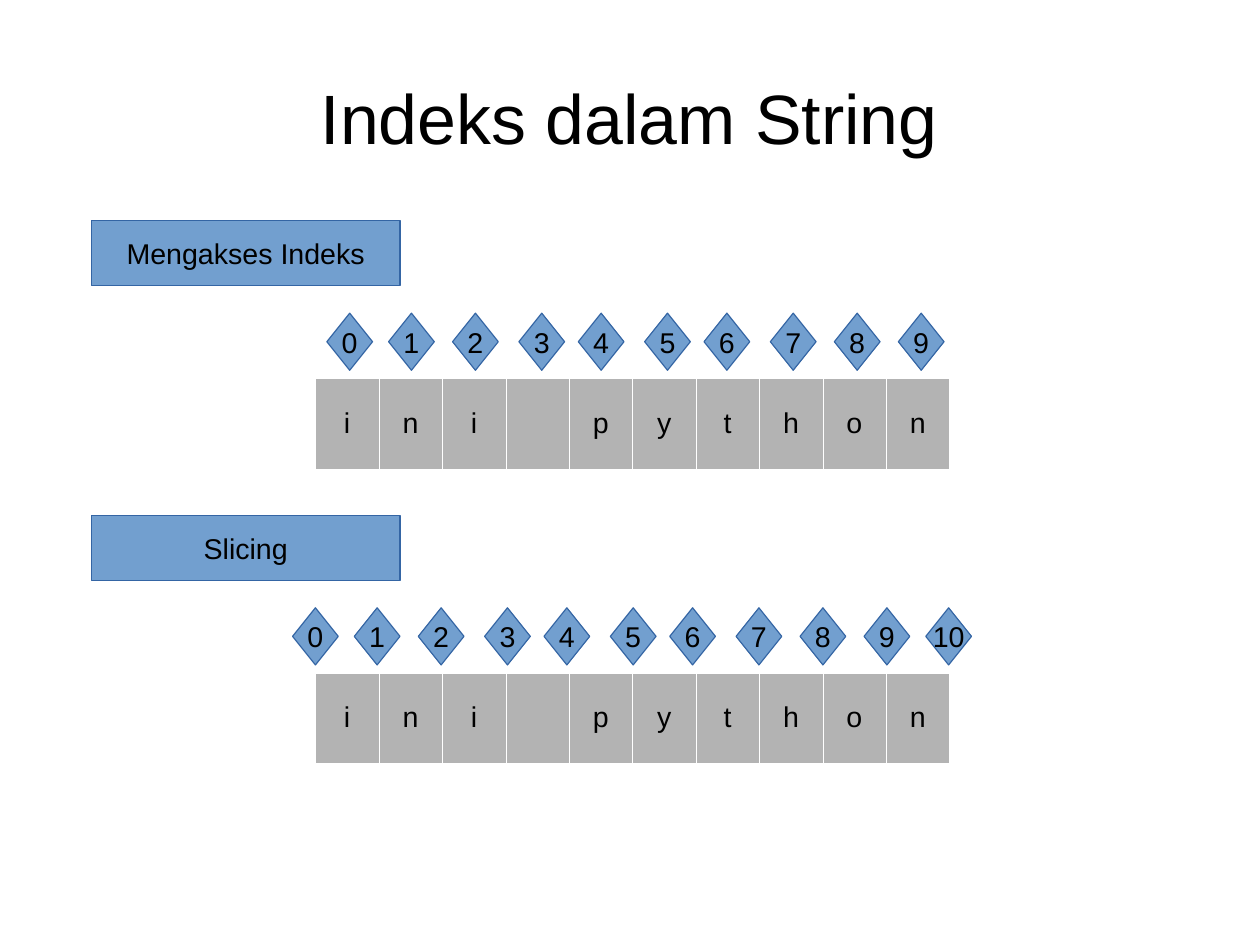
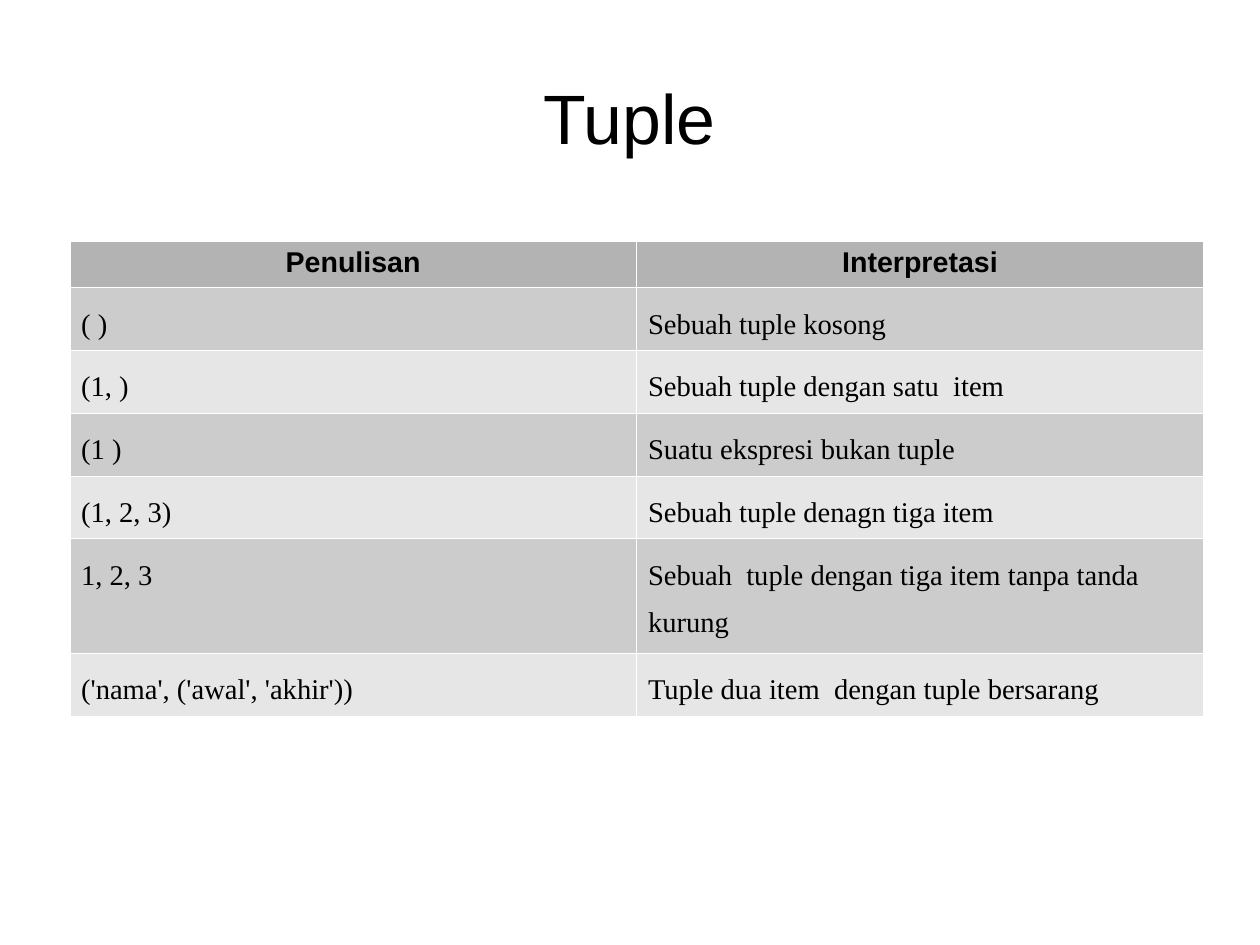
from lxml import etree
from pptx import Presentation
from pptx.dml.color import RGBColor
from pptx.enum import shapes, text
from pptx.oxml import ns
from pptx.util import Pt

BLACK, WHITE = "000000", "FFFFFF"
BLUE, DARK_BLUE = "729FCF", "3465A4"
GREY, MID_GREY, LIGHT_GREY = "B3B3B3", "CCCCCC", "E6E6E6"
SANS, SERIF = "Arial", "Times New Roman"

WORD = "ini python"
# heading, number of indices, left edge of the first index
SECTIONS = [("Mengakses Indeks", 10, 205.9), ("Slicing", 11, 184.3)]
INDEX_OFFSETS = [0, 38.9, 79.2, 121, 158.4, 200.2, 237.6, 279.4, 319.7, 360, 398.9]
SECTION_TOP, SECTION_STEP = 139, 185.6

TUPLE_HEADER = ("Penulisan", "Interpretasi")
TUPLE_ROWS = [
    ("( )", "Sebuah tuple kosong"),
    ("(1, )", "Sebuah tuple dengan satu  item"),
    ("(1 )", "Suatu ekspresi bukan tuple"),
    ("(1, 2, 3)", "Sebuah tuple denagn tiga item"),
    ("1, 2, 3", "Sebuah  tuple dengan tiga item tanpa tanda kurung"),
    ("('nama', ('awal', 'akhir'))", "Tuple dua item  dengan tuple bersarang"),
]
TUPLE_HEIGHTS = [28.8, 39.6, 39.6, 39.6, 39.6, 72, 39.6]


def color(value):
    return RGBColor.from_string(value)


def write(frame, words, size=18, font=SANS, bold=False, center=True, spacing=None):
    para = frame.paragraphs[0]
    para.alignment = text.PP_ALIGN.CENTER if center else text.PP_ALIGN.LEFT
    para.line_spacing = spacing
    span = para.add_run()
    span.text = words
    span.font.size, span.font.name, span.font.bold = Pt(size), font, bold
    span.font.color.rgb = color(BLACK)


def add_page(deck, title):
    page = deck.slides.add_slide(deck.slide_layouts[5])
    box = page.shapes.title
    box.left, box.top, box.width, box.height = Pt(39.6), Pt(23.8), Pt(714.2), Pt(99.4)
    frame = box.text_frame
    frame.margin_left = frame.margin_right = frame.margin_top = frame.margin_bottom = 0
    frame.vertical_anchor = text.MSO_ANCHOR.MIDDLE
    write(frame, title, size=44)
    return page


def add_blue_shape(page, kind, words, left, top, width, height):
    box = page.shapes.add_shape(kind, Pt(left), Pt(top), Pt(width), Pt(height))
    box.shadow.inherit = False
    box.fill.solid()
    box.fill.fore_color.rgb = color(BLUE)
    box.line.color.rgb = color(DARK_BLUE)
    box.line.width = 0
    box.text_frame.word_wrap = False
    box.text_frame.vertical_anchor = text.MSO_ANCHOR.MIDDLE
    write(box.text_frame, words)


def add_grid(page, left, top, column_width, heights, columns):
    grid = page.shapes.add_table(len(heights), columns, Pt(left), Pt(top),
                                 Pt(column_width * columns), Pt(sum(heights))).table
    grid.first_row = grid.horz_banding = False
    for column in grid.columns:
        column.width = Pt(column_width)
    for row, height in zip(grid.rows, heights):
        row.height = Pt(height)
    return grid


def paint_cell(cell, fill):
    """Give a cell thin white borders and a solid fill."""
    properties = cell._tc.get_or_add_tcPr()
    for side in ("a:lnL", "a:lnR", "a:lnT", "a:lnB"):
        line = etree.SubElement(properties, ns.qn(side), w=str(Pt(0.06)))
        solid = etree.SubElement(line, ns.qn("a:solidFill"))
        etree.SubElement(solid, ns.qn("a:srgbClr"), val=WHITE)
    cell.fill.solid()
    cell.fill.fore_color.rgb = color(fill)


def add_index_section(page, top, heading, count, first_left):
    letters = add_grid(page, 198.7, top + 99.3, 39.96, [56.9], len(WORD))
    for column, letter in enumerate(WORD):
        cell = letters.cell(0, column)
        paint_cell(cell, GREY)
        cell.vertical_anchor = text.MSO_ANCHOR.MIDDLE
        if letter.strip():
            write(cell.text_frame, letter)
    for index, offset in enumerate(INDEX_OFFSETS[:count]):
        add_blue_shape(page, shapes.MSO_SHAPE.DIAMOND, str(index),
                       first_left + offset, top + 58.3, 28.8, 36)
    add_blue_shape(page, shapes.MSO_SHAPE.RECTANGLE, heading, 57.6, top, 194.4, 41)


def add_tuple_table(page):
    grid = add_grid(page, 43.9, 152, 357.1, TUPLE_HEIGHTS, len(TUPLE_HEADER))
    for row, entries in enumerate([TUPLE_HEADER] + TUPLE_ROWS):
        if row == 0:
            fill, style = GREY, dict(bold=True)
        else:
            fill = MID_GREY if row % 2 else LIGHT_GREY
            style = dict(font=SERIF, center=False, spacing=1.5)
        for column, entry in enumerate(entries):
            cell = grid.cell(row, column)
            paint_cell(cell, fill)
            write(cell.text_frame, entry, **style)


def main():
    deck = Presentation()
    deck.slide_width, deck.slide_height = Pt(793.7), Pt(595.3)
    page = add_page(deck, "Indeks dalam String")
    for number, section in enumerate(SECTIONS):
        add_index_section(page, SECTION_TOP + number * SECTION_STEP, *section)
    add_tuple_table(add_page(deck, "Tuple"))
    deck.save("out.pptx")


if __name__ == "__main__":
    main()
